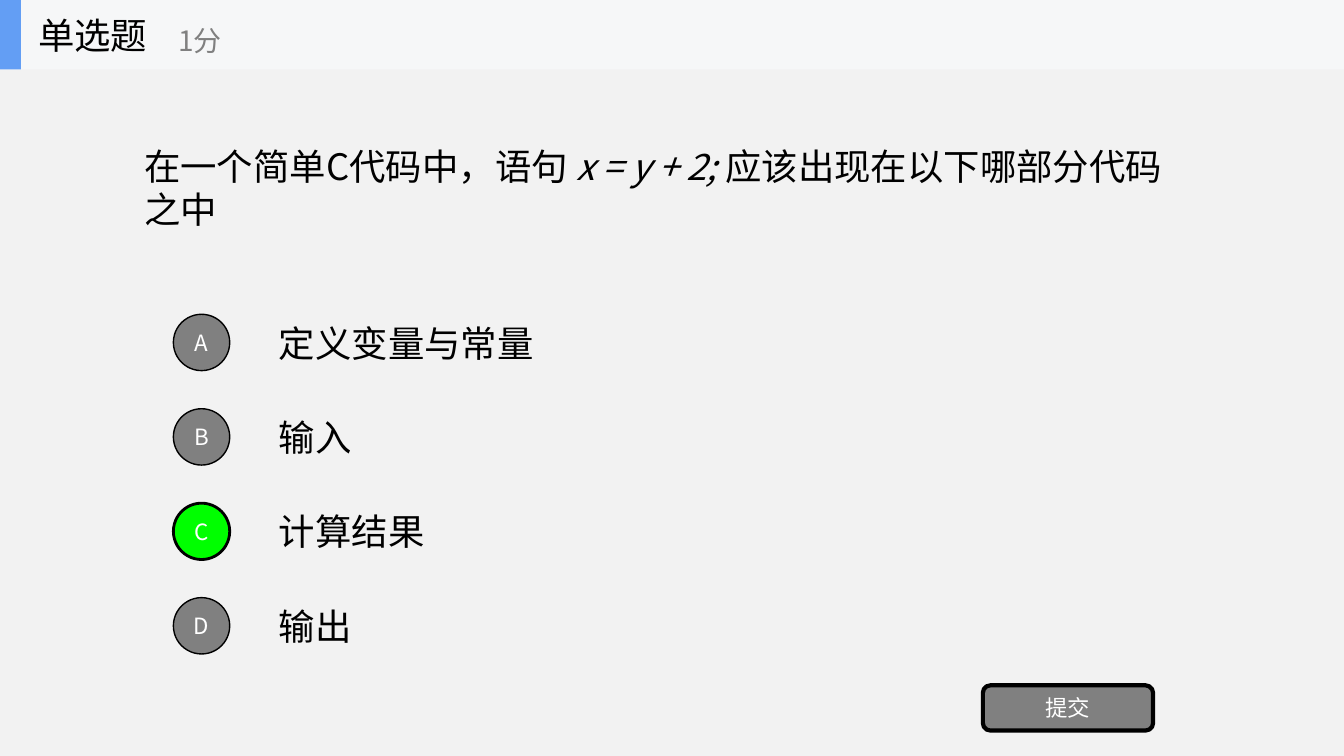
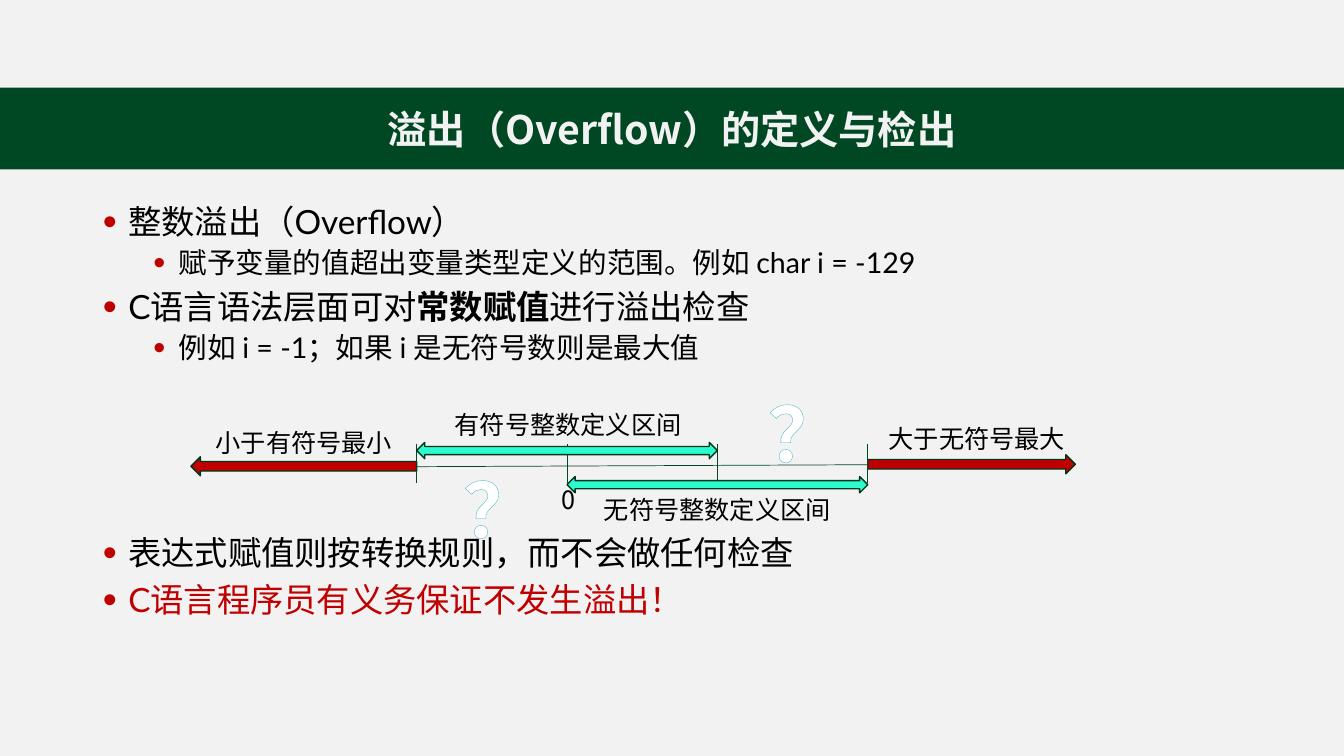
from lxml.etree import SubElement
from pptx import Presentation
from pptx.dml.color import RGBColor
from pptx.enum.shapes import MSO_CONNECTOR, MSO_SHAPE
from pptx.enum.text import MSO_ANCHOR, MSO_AUTO_SIZE, PP_ALIGN
from pptx.oxml import parse_xml
from pptx.oxml.ns import nsdecls, qn
from pptx.util import Cm, Pt

# Shared colours, fonts and sizes
BLACK, WHITE, GREY, PALE = "000000", "FFFFFF", "808080", "F2F2F2"
GREEN, EDGE, RED, MINT = "004723", "00351A", "C00000", "2BFCCF"
SANS, LATO = "Noto Sans CJK SC", "Lato"
WIDE, HIGH = 33.87, 19.05
tint = RGBColor.from_string


def dress(box, size, hue=BLACK, align=PP_ALIGN.LEFT, font=SANS, wrap=True):
    """Set the text layout of a box and the font of all its runs."""
    frame = box.text_frame
    frame.word_wrap = wrap
    frame.auto_size = MSO_AUTO_SIZE.NONE
    frame.vertical_anchor = MSO_ANCHOR.MIDDLE
    for para in frame.paragraphs:
        para.alignment = align
        for run in para.runs:
            run.font.size = Pt(size)
            run.font.name = font
            run.font.color.rgb = tint(hue)
            latin = run.font._element.find(qn("a:latin"))
            latin.addnext(parse_xml(f'<a:ea {nsdecls("a")} typeface="{SANS}"/>'))


def draw(page, kind, left, top, width, height, fill, edge=None, weight=1):
    """Add a flat preset shape."""
    item = page.shapes.add_shape(kind, Cm(left), Cm(top), Cm(width), Cm(height))
    item.shadow.inherit = False
    item.fill.solid()
    item.fill.fore_color.rgb = tint(fill)
    if edge:
        item.line.color.rgb = tint(edge)
        item.line.width = Pt(weight)
    else:
        item.line.fill.background()
    return item


deck = Presentation()
deck.slide_width, deck.slide_height = Cm(WIDE), Cm(HIGH)
back = deck.slide_master.background.fill
back.solid()
back.fore_color.rgb = tint(PALE)

# Both slides, each with its title band
quiz = deck.slides.add_slide(deck.slide_layouts[5])
flow = deck.slides.add_slide(deck.slide_layouts[1])
bands = [
    (quiz, "单选题", 0, 1.75, "F6F7F8", 26, BLACK, PP_ALIGN.LEFT),
    (flow, "溢出（Overflow）的定义与检出", 2.21, 2.06, GREEN, 28, PALE, PP_ALIGN.CENTER),
]
for page, text, top, height, fill, size, hue, align in bands:
    title = page.shapes.title
    title.left, title.top, title.width, title.height = Cm(0), Cm(top), Cm(WIDE), Cm(height)
    title.fill.solid()
    title.fill.fore_color.rgb = tint(fill)
    title.text_frame.text = text
    dress(title, size, hue, align)
quiz.shapes.title.text_frame.margin_left = Cm(0.96)
flow.shapes.title.text_frame.paragraphs[0].runs[0].font.bold = True

# Quiz: header accent and score
draw(quiz, MSO_SHAPE.RECTANGLE, 0, 0, 0.53, 1.75, "639EF4")
score = quiz.shapes.add_textbox(Cm(4.24), Cm(0.3), Cm(6.35), Cm(1.42))
score.text_frame.text = "1分"
dress(score, 20, GREY)

# Quiz: question
ask = quiz.shapes.add_textbox(Cm(3.38), Cm(1.75), Cm(26.5), Cm(5.94))
para = ask.text_frame.paragraphs[0]
for text in ("在一个简单C代码中，语句 ", "x = y + 2; ", "应该出现在以下哪部分代码之中"):
    para.add_run().text = text
para.runs[1].font.italic = True
dress(ask, 26)

# Quiz: options, the right one in green
for row, text in enumerate(("定义变量与常量", "输入", "计算结果", "输出")):
    mid = 8.63 + 2.38 * row
    mark = "ABCD"[row]
    right = mark == "C"
    dot = draw(quiz, MSO_SHAPE.OVAL, 4.37, mid - 0.71, 1.42, 1.42,
               "00FF00" if right else GREY, BLACK, 2 if right else 1)
    dot.text_frame.text = mark
    dress(dot, 16, WHITE, PP_ALIGN.CENTER)
    item = quiz.shapes.add_textbox(Cm(6.78), Cm(mid - 0.89), Cm(23.7), Cm(1.78))
    item.text_frame.text = text
    dress(item, 26)

send = draw(quiz, MSO_SHAPE.ROUNDED_RECTANGLE, 24.77, 17.27, 4.29, 1.14, GREY, BLACK, 3)
send.text_frame.text = "提交"
dress(send, 16, WHITE, PP_ALIGN.CENTER)

# Overflow: list, with room for the number line before the fifth point
body = flow.placeholders[1]
body.left, body.top, body.width, body.height = Cm(2.34), Cm(5.05), Cm(28.42), Cm(12.09)
points = [
    (0, 0, ["整数溢出（Overflow）"]),
    (1, 5, ["赋予变量的值超出变量类型定义的范围。例如 char i = -129"]),
    (0, 8, ["C语言语法层面可对", "常数赋值", "进行溢出检查"]),
    (1, 5, ["例如 i = -1；如果 i 是无符号数则是最大值"]),
    (0, 123, ["表达式赋值则按转换规则，而不会做任何检查"]),
    (0, 8, ["C语言程序员有义务保证不发生溢出！"]),
]
frame = body.text_frame
for num, (level, gap, parts) in enumerate(points):
    para = frame.add_paragraph() if num else frame.paragraphs[0]
    for text in parts:
        para.add_run().text = text
    para.level = level
    props = para._p.get_or_add_pPr()
    props.set("marL", str(Cm(1.91 if level else 0.64)))
    props.set("indent", str(-Cm(0.64)))
    hue = SubElement(props, qn("a:buClr"))
    SubElement(hue, qn("a:srgbClr"), val=RED)
    SubElement(props, qn("a:buSzPct"), val="120000")
    SubElement(props, qn("a:buFont"), typeface="Arial")
    SubElement(props, qn("a:buChar"), char="•")
    para.line_spacing = 0.9
    para.space_before = Pt(gap)
dress(body, 23.8, font=LATO)
frame.vertical_anchor = MSO_ANCHOR.TOP
for para in frame.paragraphs:
    if para.level:
        for run in para.runs:
            run.font.size = Pt(20.4)
frame.paragraphs[2].runs[1].font.bold = True
frame.paragraphs[5].runs[0].font.color.rgb = tint(RED)

# Number line: red arrows outside, axis and ticks, green ranges
STEP = 3.79
ticks = [10.5 + STEP * num for num in range(4)]
draw(flow, MSO_SHAPE.LEFT_ARROW, 4.81, 11.51, ticks[0] - 4.81, 0.48, RED, EDGE)
draw(flow, MSO_SHAPE.RIGHT_ARROW, ticks[3], 11.46, 5.23, 0.48, RED, EDGE)
lines = [(ticks[0], 11.76, ticks[3], 11.71)] + [(x, 11.2, x, 12.17) for x in ticks]
for ends in lines:
    line = flow.shapes.add_connector(MSO_CONNECTOR.STRAIGHT, *map(Cm, ends))
    line.line.color.rgb = tint(GREEN)
    line.line.width = Pt(0.5)
    SubElement(line._element.spPr, qn("a:effectLst"))
for left, top in ((ticks[0], 11.15), (ticks[1], 12.01)):
    draw(flow, MSO_SHAPE.LEFT_RIGHT_ARROW, left, top, 2 * STEP, 0.41, MINT, EDGE)

# Number line: labels
labels = [
    ("小于有符号最小", 5.16, 10.64, 5),
    ("大于无符号最大", 22.12, 10.54, 5),
    ("有符号整数定义区间", 11.18, 10.19, 6.27),
    ("无符号整数定义区间", 14.94, 12.32, 6.27),
    ("0", 13.89, 12.07, 0.86),
]
for text, left, top, width in labels:
    note = flow.shapes.add_textbox(Cm(left), Cm(top), Cm(width), Cm(1.02))
    note.text_frame.text = text
    dress(note, 18, align=PP_ALIGN.CENTER, wrap=False)

# Outlined question marks with a hatched fill
for left, top in ((19.08, 9.6), (11.4, 11.51)):
    doubt = flow.shapes.add_textbox(Cm(left), Cm(top), Cm(2.44), Cm(2.57))
    doubt.text_frame.text = "？"
    dress(doubt, 54, align=PP_ALIGN.CENTER, wrap=False)
    font = doubt.text_frame.paragraphs[0].runs[0].font
    font.bold = True
    props = font._element
    props.remove(props.find(qn("a:solidFill")))
    props.insert(0, parse_xml(
        f'<a:pattFill {nsdecls("a")} prst="ltDnDiag">'
        '<a:fgClr><a:srgbClr val="92D3DC"/></a:fgClr>'
        '<a:bgClr><a:srgbClr val="FFFFFF"/></a:bgClr></a:pattFill>'))
    props.insert(0, parse_xml(
        f'<a:ln {nsdecls("a")} w="12700"><a:solidFill>'
        '<a:srgbClr val="4AB5C4"/></a:solidFill></a:ln>'))

deck.save("out.pptx")
